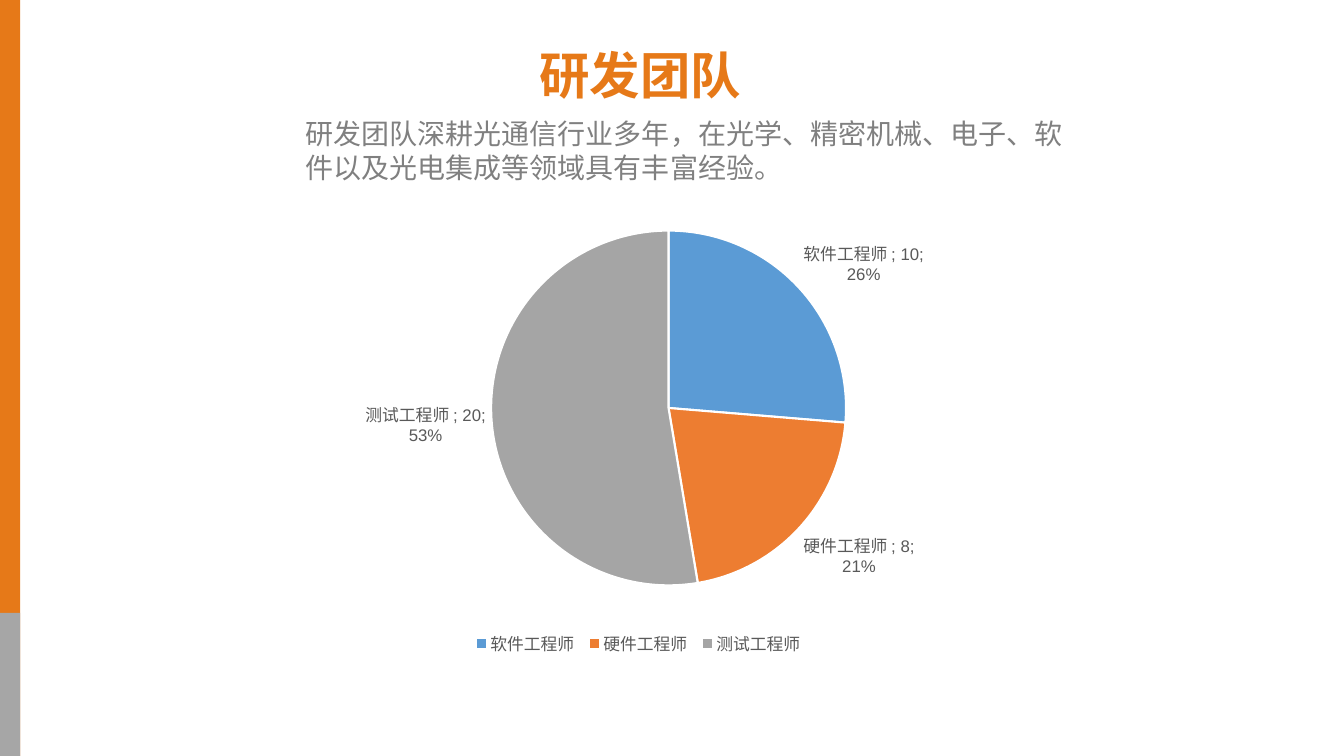
from lxml import etree
from pptx import Presentation
from pptx.chart.data import CategoryChartData
from pptx.dml.color import RGBColor
from pptx.enum.chart import XL_CHART_TYPE, XL_LABEL_POSITION, XL_LEGEND_POSITION
from pptx.enum.shapes import MSO_SHAPE
from pptx.enum.text import MSO_ANCHOR, PP_ALIGN
from pptx.oxml.ns import qn
from pptx.util import Inches, Pt

RECTANGLE = MSO_SHAPE.RECTANGLE
PIE = XL_CHART_TYPE.PIE
OUTSIDE_END = XL_LABEL_POSITION.OUTSIDE_END
BOTTOM = XL_LEGEND_POSITION.BOTTOM
LEFT, CENTER = PP_ALIGN.LEFT, PP_ALIGN.CENTER
TOP, MIDDLE = MSO_ANCHOR.TOP, MSO_ANCHOR.MIDDLE

ORANGE = RGBColor(0xE6, 0x79, 0x18)
SILVER = RGBColor(0xA6, 0xA6, 0xA6)
GRAY = RGBColor(0x80, 0x80, 0x80)
DARK_GRAY = RGBColor(0x59, 0x59, 0x59)
WHITE = RGBColor(0xFF, 0xFF, 0xFF)

TEAM = (
    ("软件工程师 ", 10, RGBColor(0x5B, 0x9B, 0xD5)),
    ("硬件工程师 ", 8, RGBColor(0xED, 0x7D, 0x31)),
    ("测试工程师 ", 20, RGBColor(0xA5, 0xA5, 0xA5)),
)
PIE_LAYOUT = {
    "layoutTarget": "inner", "xMode": "edge", "yMode": "edge",
    "x": 0.29, "y": 0.07, "w": 0.5, "h": 0.77,
}


class SlideBuilder:
    body_font = "Arial"
    title_font = "Montserrat"

    def __init__(self, slide):
        self.slide = slide

    @staticmethod
    def apply(target, **values):
        for name, value in values.items():
            setattr(target, name, value)

    def style_font(self, font, size, color, name=body_font, bold=False):
        self.apply(font, size=Pt(size), name=name, bold=bold)
        font.color.rgb = color

    def bar(self, top, height, color):
        shape = self.slide.shapes.add_shape(
            RECTANGLE, 0, Inches(top), Inches(0.2), Inches(height))
        shape.shadow.inherit = False
        shape.fill.solid()
        shape.fill.fore_color.rgb = color
        shape.line.fill.background()

    def text(self, box, words, size, color, name=body_font, bold=False,
             alignment=LEFT, anchor=TOP, spacing=1.0):
        shape = self.slide.shapes.add_textbox(*map(Inches, box))
        self.apply(shape.text_frame, word_wrap=True, vertical_anchor=anchor)
        paragraph = shape.text_frame.paragraphs[0]
        self.apply(paragraph, alignment=alignment, line_spacing=spacing)
        run = paragraph.add_run()
        run.text = words
        self.style_font(run.font, size, color, name, bold)

    def pie(self, box, members):
        data = CategoryChartData()
        data.categories = [name for name, _, _ in members]
        data.add_series("Series 1", [count for _, count, _ in members])
        chart = self.slide.shapes.add_chart(PIE, *map(Inches, box), data).chart
        self.apply(chart, has_title=False, has_legend=True)
        self.style_font(chart.font, 12, DARK_GRAY)
        self.apply(chart.legend, position=BOTTOM, include_in_layout=False)
        self.style_font(chart.legend.font, 12, DARK_GRAY)

        plot = chart.plots[0]
        plot.vary_by_categories = True
        series = plot.series[0]
        for index, (_, _, color) in enumerate(members):
            slice_format = series.points[index].format
            slice_format.fill.solid()
            slice_format.fill.fore_color.rgb = color
            slice_format.line.color.rgb = WHITE
            slice_format.line.width = Pt(1.5)

        labels = series.data_labels
        self.apply(labels, show_value=True, show_percentage=True,
                   show_category_name=True, position=OUTSIDE_END)
        self.style_font(labels.font, 12, DARK_GRAY)
        self.place_plot(chart)

    @staticmethod
    def place_plot(chart):
        area = chart.element.find(".//" + qn("c:plotArea"))
        layout = area.find(qn("c:layout"))
        if layout is None:
            layout = etree.Element(qn("c:layout"))
            area.insert(0, layout)
        manual = etree.SubElement(layout, qn("c:manualLayout"))
        for name, value in PIE_LAYOUT.items():
            etree.SubElement(manual, qn("c:" + name)).set("val", str(value))


def main():
    presentation = Presentation()
    presentation.slide_width = Inches(13.33)
    presentation.slide_height = Inches(7.5)
    builder = SlideBuilder(
        presentation.slides.add_slide(presentation.slide_layouts[6]))

    builder.bar(0, 7.5, ORANGE)
    builder.bar(6.08, 1.42, SILVER)
    builder.text((0.6, 0.47, 11.5, 0.62), "研发团队", 36, ORANGE,
                 name=builder.title_font, bold=True, alignment=CENTER,
                 anchor=MIDDLE, spacing=0.9)
    builder.pie((2.83, 1.96, 7.04, 4.59), TEAM)
    builder.text(
        (2.93, 1.11, 7.82, 0.77),
        "研发团队深耕光通信行业多年，在光学、精密机械、电子、软件以及光电集成等领域具有丰富经验。",
        20, GRAY)
    presentation.save("out.pptx")


if __name__ == "__main__":
    main()
